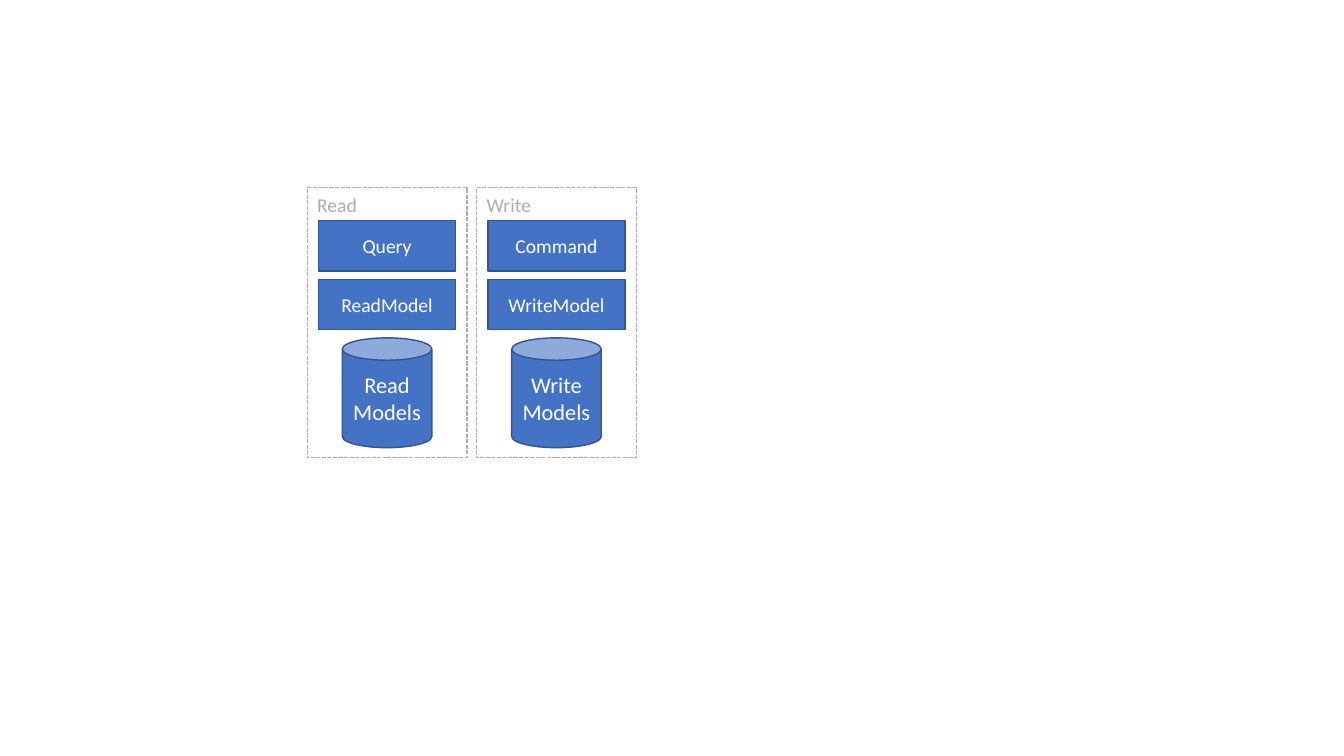
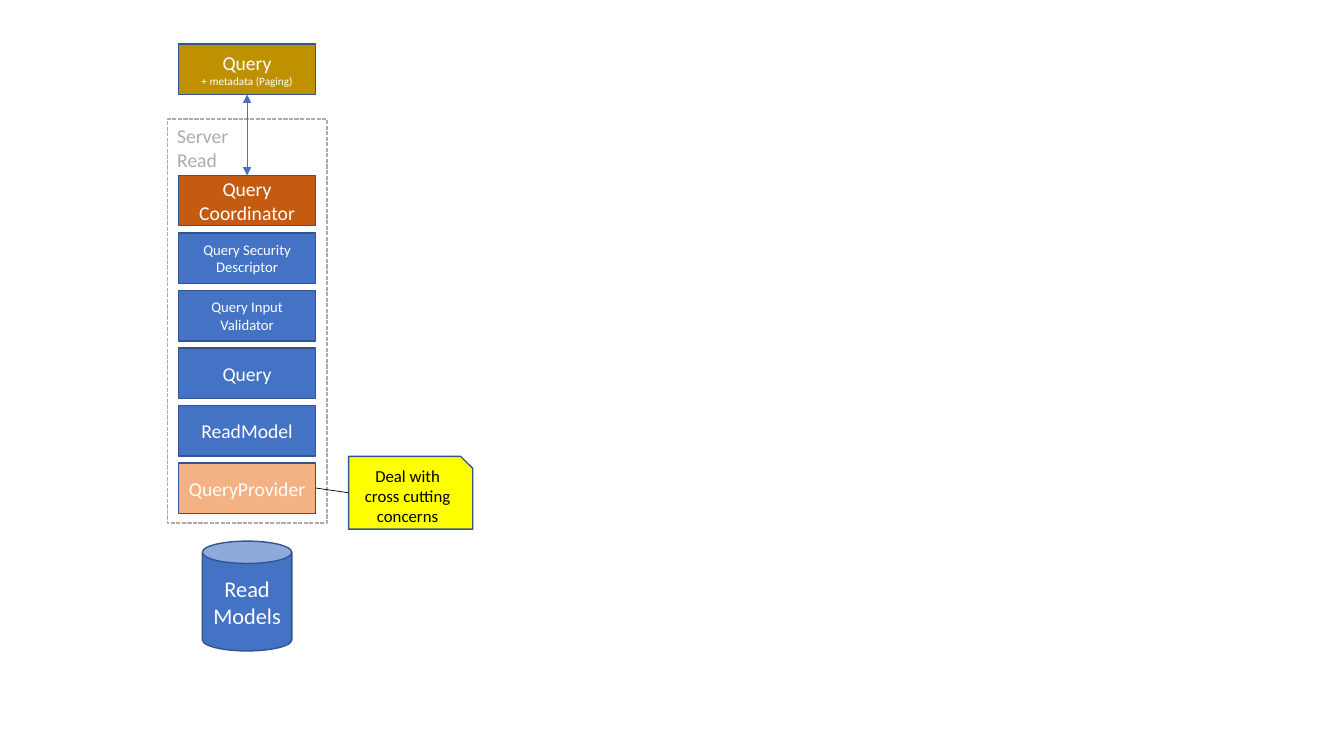
from lxml import etree
from pptx import Presentation
from pptx.dml.color import RGBColor
from pptx.enum.dml import MSO_LINE
from pptx.enum.shapes import MSO_CONNECTOR, MSO_SHAPE
from pptx.enum.text import MSO_ANCHOR, PP_ALIGN
from pptx.oxml.ns import qn
from pptx.util import Pt

RECT, CAN, SNIP = MSO_SHAPE.RECTANGLE, MSO_SHAPE.CAN, MSO_SHAPE.SNIP_1_RECTANGLE
LINE, DASH = MSO_CONNECTOR.STRAIGHT, MSO_LINE.SQUARE_DOT
TOP, MID = MSO_ANCHOR.TOP, MSO_ANCHOR.MIDDLE
LEFT, MIDDLE = PP_ALIGN.LEFT, PP_ALIGN.CENTER

BLUE, EDGE, GREY, WHITE, BLACK = "4472C4", "325491", "AFABAB", "FFFFFF", "000000"
GOLD, RUST, PEACH, YELLOW = "BF9000", "C55A11", "F4B183", "FFFF00"
BOX_W, BOX_H = 98, 36
CAN_W, CAN_H = 64, 78.5
FRAME_W, PAD = 114, 8


def color(code):
    return RGBColor.from_string(code)


def assign(item, values):
    for name, value in values.items():
        setattr(item, name, value)


class Deck:
    font = "Calibri"

    def __init__(self):
        self.prs = Presentation()
        assign(self.prs, {"slide_width": Pt(960), "slide_height": Pt(540)})

    def page(self):
        self.slide = self.prs.slides.add_slide(self.prs.slide_layouts[6])

    def shape(self, kind, x, y, w, h, fill=None, edge=EDGE):
        item = self.slide.shapes.add_shape(kind, Pt(x), Pt(y), Pt(w), Pt(h))
        item.shadow.inherit = False
        if fill:
            item.fill.solid()
            item.fill.fore_color.rgb = color(fill)
        else:
            item.fill.background()
        item.line.color.rgb = color(edge)
        item.line.width = Pt(1)
        return item

    def text(self, item, lines, size, ink=WHITE, align=MIDDLE, anchor=MID):
        frame = item.text_frame
        assign(frame, {"word_wrap": True, "vertical_anchor": anchor})
        for i, line in enumerate(lines):
            words, points = line if isinstance(line, tuple) else (line, size)
            para = frame.add_paragraph() if i else frame.paragraphs[0]
            para.alignment = align
            run = para.add_run()
            run.text = words
            assign(run.font, {"name": self.font, "size": Pt(points)})
            run.font.color.rgb = color(ink)

    def box(self, x, y, lines, fill=BLUE, size=14):
        self.text(self.shape(RECT, x, y, BOX_W, BOX_H, fill), lines, size)

    def store(self, x, y, lines):
        left = x + (BOX_W - CAN_W) / 2
        self.text(self.shape(CAN, left, y, CAN_W, CAN_H, BLUE), lines, 16)

    def frame(self, x, y, h, lines):
        item = self.shape(RECT, x, y, FRAME_W, h, edge=GREY)
        item.line.dash_style = DASH
        self.text(item, lines, 14, GREY, LEFT, TOP)

    def note(self, x, y, w, h, words):
        self.text(self.shape(SNIP, x, y, w, h, YELLOW), [words], 12, BLACK)

    def link(self, x1, y1, x2, y2, ink, ends=()):
        item = self.slide.shapes.add_connector(LINE, Pt(x1), Pt(y1), Pt(x2), Pt(y2))
        item.line.color.rgb = color(ink)
        item.line.width = Pt(0.5)
        props = item.line._get_or_add_ln()
        for end in ends:
            etree.SubElement(props, qn("a:" + end)).set("type", "triangle")
        etree.SubElement(item._element.spPr, qn("a:effectLst"))


def models(deck):
    deck.page()
    sides = [
        ("Read", ["Query", "ReadModel"], ["Read Models"]),
        ("Write", ["Command", "WriteModel"], ["Write", "Models"]),
    ]
    for col, (title, parts, data) in enumerate(sides):
        x = 219.5 + col * 121
        deck.frame(x, 134, 193, [title])
        for row, part in enumerate(parts):
            deck.box(x + PAD, 157.7 + row * 41.8, [part])
        deck.store(x + PAD, 241.3, data)


def query(deck):
    deck.page()
    x, top, first, step = 127.5, 31.5, 125.3, 41.1
    deck.frame(x - PAD, 85, 288.7, ["Server", "Read"])
    deck.box(x, top, ["Query", ("+ metadata (Paging)", 8)], GOLD)
    parts = [
        ("Query Coordinator", RUST, 14),
        ("Query Security Descriptor", BLUE, 10.5),
        ("Query Input Validator", BLUE, 10.5),
        ("Query", BLUE, 14),
        ("ReadModel", BLUE, 14),
        ("QueryProvider", PEACH, 14),
    ]
    for row, (words, fill, size) in enumerate(parts):
        deck.box(x, first + row * step, [words], fill, size)
    deck.store(x, 386.5, ["Read Models"])
    mid = x + BOX_W / 2
    deck.link(mid, top + BOX_H, mid, first, BLUE, ("headEnd", "tailEnd"))
    deck.note(249, 326, 88.7, 52, "Deal with cross cutting concerns")
    deck.link(x + BOX_W, 348.6, 249, 352, BLACK)


deck = Deck()
models(deck)
query(deck)
deck.prs.save("out.pptx")
